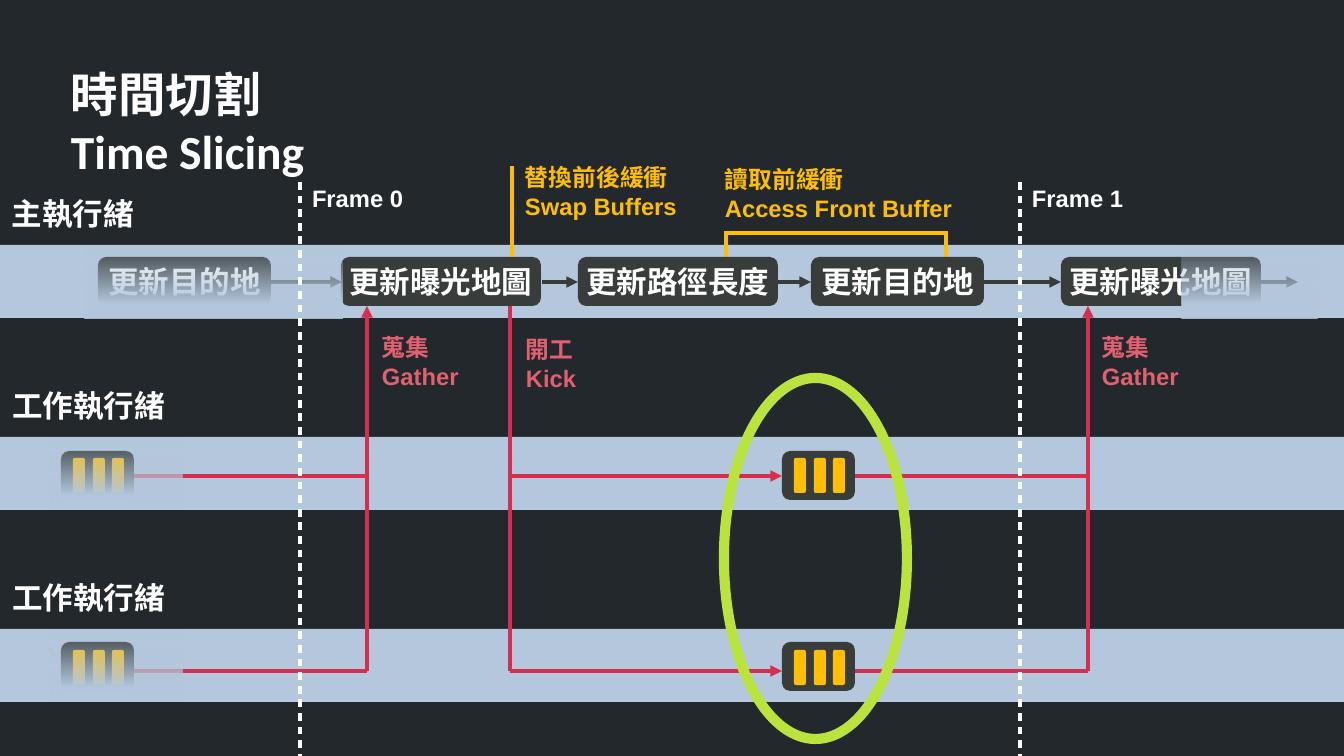
from pptx import Presentation
from pptx.dml.color import RGBColor
from pptx.enum.shapes import MSO_CONNECTOR, MSO_SHAPE
from pptx.enum.text import MSO_ANCHOR, MSO_AUTO_SIZE, PP_ALIGN
from pptx.oxml import parse_xml
from pptx.oxml.ns import nsdecls
from pptx.util import Pt
from lxml.etree import SubElement

PIXEL = 914400 / 122
DRAWING = "{http://schemas.openxmlformats.org/drawingml/2006/main}"
COLORS = {
    "background": "22282B", "band": "B4C7DC", "box": "383D3C", "white": "FFFFFF",
    "yellow": "FFBF00", "red": "D62E4E", "pink": "E16173", "green": "BBE33D",
}

presentation = Presentation()
presentation.slide_width = round(1344 * PIXEL)
presentation.slide_height = round(756 * PIXEL)
slide = presentation.slides.add_slide(presentation.slide_layouts[6])
slide.background.fill.solid()
slide.background.fill.fore_color.rgb = RGBColor.from_string(COLORS["background"])


def add_item(kind, left, top, width, height, text="", fill=None, size=18,
             font="Arial", color="white", wrap=False):
    frame = [round(value * PIXEL) for value in (left, top, width, height)]
    if kind is None:
        shape = slide.shapes.add_textbox(*frame)
        shape.text_frame.auto_size = MSO_AUTO_SIZE.SHAPE_TO_FIT_TEXT
    else:
        shape = slide.shapes.add_shape(kind, *frame)
        shape.shadow.inherit = False
        shape.line.fill.background()
        shape.text_frame.vertical_anchor = MSO_ANCHOR.MIDDLE
    if fill:
        shape.fill.solid()
        shape.fill.fore_color.rgb = RGBColor.from_string(COLORS[fill])
    if text:
        shape.text_frame.word_wrap = wrap
        shape.text_frame.text = text
        for paragraph in shape.text_frame.paragraphs:
            paragraph.alignment = PP_ALIGN.LEFT if kind is None else PP_ALIGN.CENTER
            for run in paragraph.runs:
                run.font.name = font
                run.font.size = Pt(size)
                run.font.bold = True
                run.font.color.rgb = RGBColor.from_string(COLORS[color])
    return shape


def add_line(x1, y1, x2, y2, color, arrow=False):
    ends = [round(value * PIXEL) for value in (x1, y1, x2, y2)]
    connector = slide.shapes.add_connector(MSO_CONNECTOR.STRAIGHT, *ends)
    connector.line.color.rgb = RGBColor.from_string(COLORS[color])
    connector.line.width = Pt(2.3)
    if arrow:
        SubElement(connector.line._ln, DRAWING + "tailEnd", type="triangle")
    SubElement(connector._element.spPr, DRAWING + "effectLst")
    return connector


for band_top, label in ((245, "主執行緒"), (437, "工作執行緒"), (629, "工作執行緒")):
    add_item(MSO_SHAPE.RECTANGLE, 0, band_top, 1344, 73, fill="band")
    add_item(None, 0, band_top - 56, 146 if band_top == 245 else 177, 56, label)

for start, end in ((271, 342), (542, 578), (778, 811), (983, 1061), (1261, 1298)):
    add_line(start, 282, end, 282, "box", arrow=True)

add_line(512, 266, 512, 166, "yellow")
for bracket_x in (726, 946):
    add_line(bracket_x, 265, bracket_x, 231, "yellow")
add_line(726, 233, 946, 233, "yellow")

tasks = [
    (98, 173, "更新目的地"), (341, 200, "更新曝光地圖"), (578, 200, "更新路徑長度"),
    (811, 173, "更新目的地"), (1061, 200, "更新曝光地圖"),
]
for left, width, name in tasks:
    add_item(MSO_SHAPE.ROUNDED_RECTANGLE, left, 257, width, 49, name,
             fill="box", font="Calibri")

for job_left in (61, 782):
    for job_top in (451, 642):
        add_item(MSO_SHAPE.ROUNDED_RECTANGLE, job_left, job_top, 73, 49, fill="box")
        bar_top = 458 if job_top == 451 else 650
        for offset in (12, 32, 51):
            add_item(MSO_SHAPE.ROUNDED_RECTANGLE, job_left + offset, bar_top, 12, 35,
                     fill="yellow")

add_line(510, 306, 510, 671, "red")
for job_y in (476, 671):
    add_line(510, job_y, 782, job_y, "red", arrow=True)
for job_right, gather_x in ((134, 367), (855, 1088)):
    add_line(gather_x, 671, gather_x, 306, "red", arrow=True)
    for job_y in (476, 671):
        add_line(job_right, job_y, gather_x, job_y, "red")

for left, top, width in ((85, 245, 257), (1182, 245, 135), (49, 437, 134), (49, 629, 134)):
    fade = add_item(MSO_SHAPE.RECTANGLE, left, top, width, 73)
    fade._element.spPr.insert(2, parse_xml(
        f'<a:gradFill {nsdecls("a")}><a:gsLst>'
        f'<a:gs pos="20000"><a:srgbClr val="{COLORS["band"]}"/></a:gs>'
        f'<a:gs pos="100000"><a:srgbClr val="{COLORS["band"]}"><a:alpha val="0"/>'
        '</a:srgbClr></a:gs></a:gsLst><a:lin ang="16200000" scaled="0"/></a:gradFill>'))

for frame_x, name in ((300, "Frame 0"), (1020, "Frame 1")):
    divider = add_line(frame_x, 182, frame_x, 756, "white")
    dashes = SubElement(divider.line._ln, DRAWING + "custDash")
    SubElement(dashes, DRAWING + "ds", d="200000", sp="150000")
    add_item(None, frame_x, 178, 116, 39, name, size=14)

notes = [
    (514, 329, 90, 73, "開工\nKick", "pink"),
    (370, 327, 101, 73, "蒐集\nGather", "pink"),
    (1090, 327, 101, 73, "蒐集\nGather", "pink"),
    (713, 159, 264, 73, "讀取前緩衝\nAccess Front Buffer", "yellow"),
    (513, 157, 189, 98, "替換前後緩衝\nSwap Buffers", "yellow"),
]
for left, top, width, height, text, color in notes:
    add_item(None, left, top, width, height, text, size=14, color=color, wrap=True)

add_item(None, 59, 59, 795, 128, "時間切割\nTime Slicing", size=28, font="Calibri", wrap=True)

highlight = add_item(MSO_SHAPE.OVAL, 724, 378, 183, 361)
highlight.fill.background()
highlight.line.color.rgb = RGBColor.from_string(COLORS["green"])
highlight.line.width = Pt(6)

presentation.save("out.pptx")
